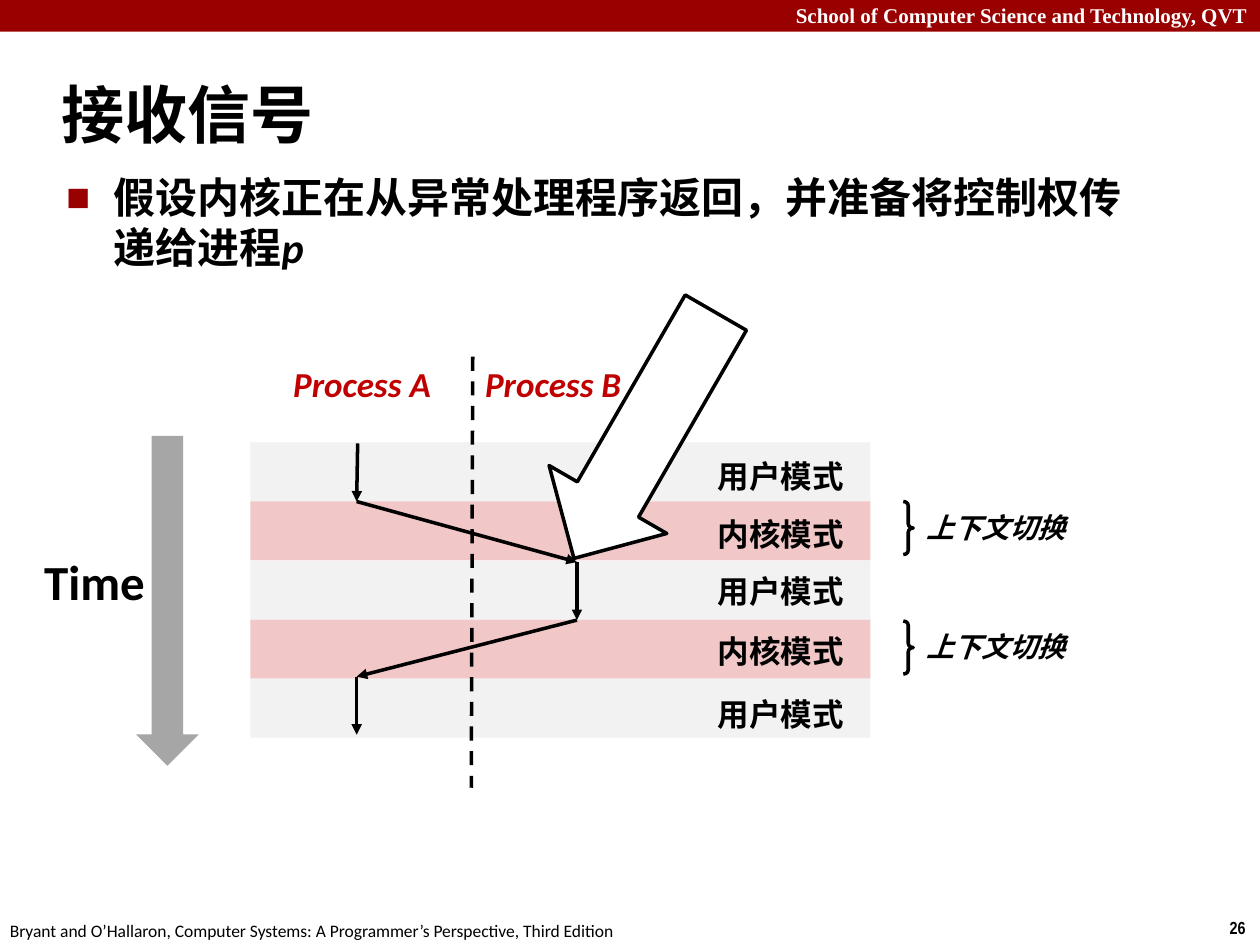
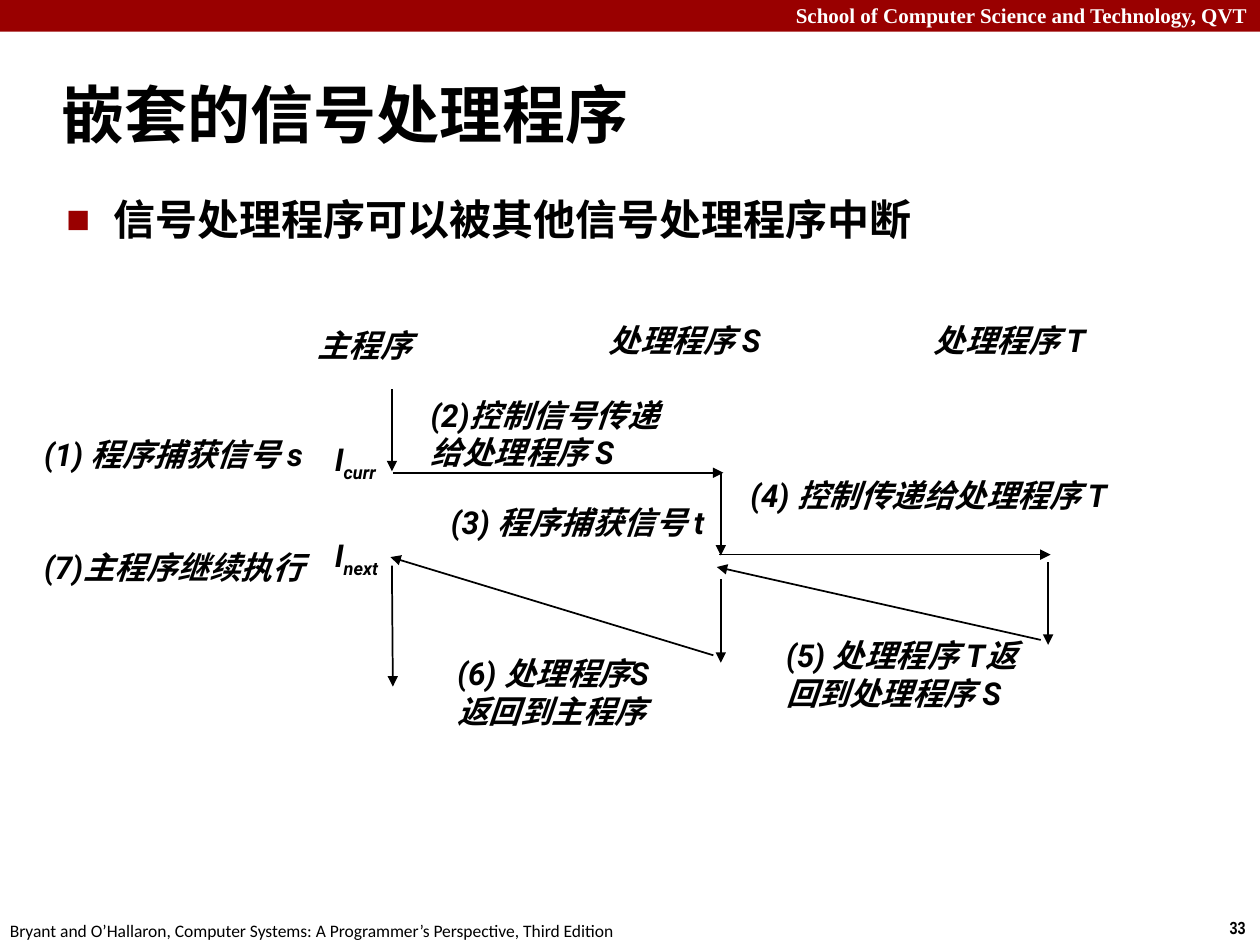
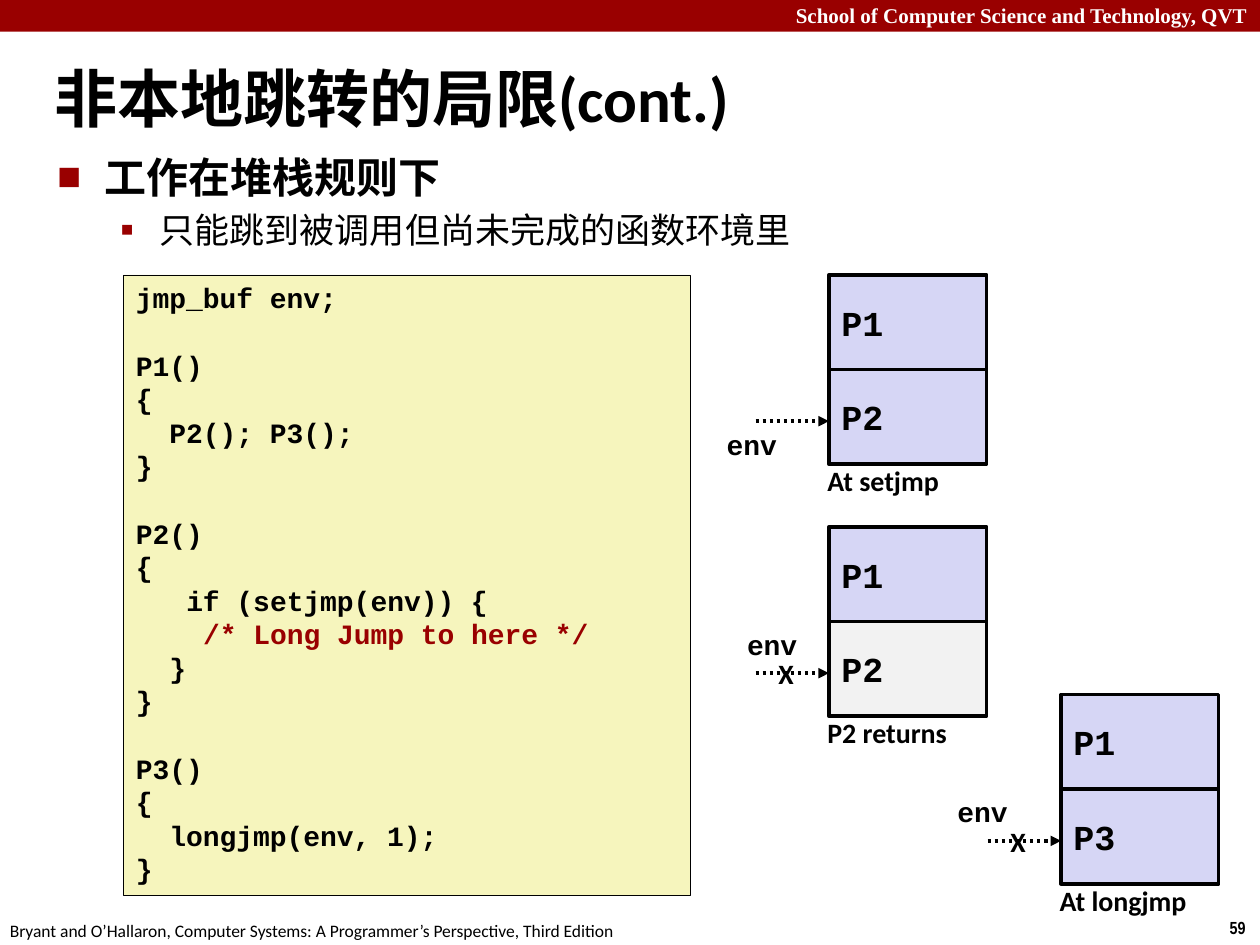
from itertools import pairwise

from lxml.etree import SubElement
from pptx import Presentation
from pptx.dml.color import RGBColor
from pptx.enum.dml import MSO_LINE
from pptx.enum.lang import MSO_LANGUAGE_ID as Language
from pptx.enum.shapes import MSO_CONNECTOR, MSO_SHAPE as Preset
from pptx.enum.text import MSO_ANCHOR, MSO_AUTO_SIZE, PP_ALIGN
from pptx.oxml.ns import qn
from pptx.util import Cm, Pt

# Shared look
BLACK, WHITE, DARK_RED, NAME_RED = "000000", "FFFFFF", "990000", "C00000"
PINK, PALE_GREY, GREY = "F1C7C7", "F2F2F2", "A6A6A6"
LILAC, CODE_YELLOW = "D6D6F5", "F6F5BD"
BODY_FONT, LABEL_FONT, CODE_FONT = "Calibri", "Roboto", "Courier New"
HEADER = "School of Computer Science and Technology, QVT"
FOOTER = "Bryant and O’Hallaron, Computer Systems: A Programmer’s Perspective, Third Edition"

CODE_LINE = Pt(19.2)
CODE_CHARACTER = Pt(9.6)
CODE = """jmp_buf env;

P1()
{
  P2(); P3();
}

P2()
{
   if (setjmp(env)) {
    /* Long Jump to here */
  }
}

P3()
{
  longjmp(env, 1);
}"""


def color(hex_string):
    return RGBColor.from_string(hex_string)


# Text
def add_run(paragraph, text, size, font=BODY_FONT, ink=BLACK, bold=True,
            italic=False, subscript=False):
    run = paragraph.add_run()
    run.text = text
    run.font.name = font
    run.font.size = Pt(size)
    run.font.bold = bold
    run.font.italic = italic
    run.font.color.rgb = color(ink)
    run.font.language_id = Language.SIMPLIFIED_CHINESE
    if subscript:
        run._r.get_or_add_rPr().set("baseline", "-25000")


def add_box(slide, left, top, width, height, wrap=True, grow=True):
    box = slide.shapes.add_textbox(Cm(left), Cm(top), Cm(width), Cm(height))
    frame = box.text_frame
    frame.word_wrap = wrap
    frame.auto_size = MSO_AUTO_SIZE.SHAPE_TO_FIT_TEXT if grow else MSO_AUTO_SIZE.NONE
    return frame


def add_label(slide, text, left, top, width, height, size, wrap=False,
              align=PP_ALIGN.LEFT, **style):
    frame = add_box(slide, left, top, width, height, wrap)
    for number, line in enumerate(text.split("\n")):
        paragraph = frame.add_paragraph() if number else frame.paragraphs[0]
        paragraph.alignment = align
        add_run(paragraph, line, size, **style)


def add_title(slide, text, left, top, width, height):
    frame = add_box(slide, left, top, width, height, grow=False)
    frame.vertical_anchor = MSO_ANCHOR.MIDDLE
    add_run(frame.paragraphs[0], text, 36)


def set_bullet(paragraph, character, percent, margin, hanging):
    properties = paragraph._p.get_or_add_pPr()
    properties.set("marL", str(Cm(margin)))
    properties.set("indent", str(-Cm(hanging)))
    bullet_color = SubElement(properties, qn("a:buClr"))
    SubElement(bullet_color, qn("a:srgbClr"), val=DARK_RED)
    SubElement(properties, qn("a:buSzPct"), val=str(percent * 1000))
    SubElement(properties, qn("a:buFont"), typeface=BODY_FONT)
    SubElement(properties, qn("a:buChar"), char=character)


def add_bullets(slide, left, top, width, height, main_text, sub_text=None):
    frame = add_box(slide, left, top, width, height, grow=False)
    main_point = frame.paragraphs[0]
    set_bullet(main_point, "■", 60, 0.95, 0.95)
    add_run(main_point, main_text, 24)
    if sub_text:
        sub_point = frame.add_paragraph()
        sub_point.level = 1
        sub_point.space_before = Pt(4)
        set_bullet(sub_point, "▪", 110, 2.06, 0.79)
        add_run(sub_point, sub_text, 20, bold=False)
    return main_point


# Shapes and lines
def add_shape(slide, preset, left, top, width, height, fill=None, line_width=None):
    shape = slide.shapes.add_shape(preset, Cm(left), Cm(top), Cm(width), Cm(height))
    shape.shadow.inherit = False
    if fill:
        shape.fill.solid()
        shape.fill.fore_color.rgb = color(fill)
    else:
        shape.fill.background()
    if line_width:
        shape.line.color.rgb = color(BLACK)
        shape.line.width = Pt(line_width)
    else:
        shape.line.fill.background()
    return shape


def add_line(slide, start, end, width, dash=None, arrow=True):
    points = [Cm(value) for value in (*start, *end)]
    connector = slide.shapes.add_connector(MSO_CONNECTOR.STRAIGHT, *points)
    connector.line.color.rgb = color(BLACK)
    connector.line.width = Pt(width)
    if dash:
        connector.line.dash_style = dash
    if arrow:
        SubElement(connector.line._get_or_add_ln(), qn("a:tailEnd"), type="triangle")
    SubElement(connector._element.spPr, qn("a:effectLst"))


def add_base_slide(presentation, page_number):
    slide = presentation.slides.add_slide(presentation.slide_layouts[6])
    add_shape(slide, Preset.RECTANGLE, 0, 0, 25.4, 0.64, DARK_RED)
    add_label(slide, page_number, 24.54, 18.36, 0.86, 0.69, 10, font="Arial Narrow")
    add_label(slide, HEADER, 0, -0.08, 25.4, 0.76, 12, wrap=True,
              align=PP_ALIGN.RIGHT, font="Times New Roman", ink=WHITE)
    add_label(slide, FOOTER, -0.05, 18.42, 12.9, 0.69, 10, bold=False)
    return slide


# Slide 1: context switches between two processes
def build_receiving(presentation):
    slide = add_base_slide(presentation, "26")
    add_title(slide, "接收信号", 0.99, 1.22, 21.08, 2.11)
    point = add_bullets(slide, 1.09, 3.33, 21.95, 3.02,
                        "假设内核正在从异常处理程序返回，并准备将控制权传递给进程")
    add_run(point, "p", 24, italic=True)

    # Mode bands
    modes = [("用户模式", PALE_GREY), ("内核模式", PINK)]
    label_tops = [9.09, 10.26, 11.4, 12.62, 13.89]
    for number, label_top in enumerate(label_tops):
        mode, fill = modes[number % 2]
        add_shape(slide, Preset.RECTANGLE, 5.05, 8.92 + number * 1.19, 12.5, 1.19, fill)
        add_label(slide, mode, 14.22, label_top, 3.1, 1.02, 18)

    # Processes and their divider
    for name, left in (("Process A", 5.66), ("Process B", 9.53)):
        add_label(slide, name, left, 7.19, 3.3, 1.12, 20, ink=NAME_RED, italic=True)
    add_line(slide, (9.53, 7.19), (9.5, 15.88), 2, MSO_LINE.DASH, arrow=False)

    # Context switches
    for top in (10.11, 12.52):
        brace = add_shape(slide, Preset.RIGHT_BRACE, 18.21, top, 0.2, 1.07, line_width=2)
        brace.adjustments[0] = 0.42
        add_label(slide, "上下文切换", 18.42, top + 0.05, 3.38, 0.94, 16, italic=True)

    # Time axis and flow of control
    add_label(slide, "Time", 0.64, 11, 2.57, 1.45, 28)
    add_shape(slide, Preset.DOWN_ARROW, 2.74, 8.79, 1.27, 6.65, GREY)
    flow = [(7.21, 8.94), (7.19, 10.11), (11.63, 11.33),
            (11.63, 12.5), (7.19, 13.64), (7.19, 14.81)]
    for start, end in pairwise(flow):
        add_line(slide, start, end, 2)

    pointer = add_shape(slide, Preset.DOWN_ARROW, 11.63, 5.92, 2.74, 5.72, WHITE, 2)
    pointer.adjustments[0] = 0.52
    pointer.rotation = 30


# Slide 2: one handler interrupts another
def build_nested_handlers(presentation):
    slide = add_base_slide(presentation, "33")
    add_title(slide, "嵌套的信号处理程序", 0.99, 1.22, 24.41, 2.11)
    add_bullets(slide, 1.09, 3.78, 21.95, 1.73, "信号处理程序可以被其他信号处理程序中断")

    steps = [
        ((7.9, 7.85), (7.9, 9.5)),
        ((7.92, 9.53), (14.58, 9.53)),
        ((14.53, 9.53), (14.53, 11.2)),
        ((14.5, 11.18), (21.18, 11.18)),
        ((21.13, 11.33), (21.13, 13)),
        ((20.98, 12.9), (14.45, 11.43)),
        ((14.53, 11.68), (14.53, 13.36)),
        ((14.38, 13.21), (7.87, 11.23)),
        ((7.9, 11.4), (7.92, 13.84)),
    ]
    for start, end in steps:
        add_line(slide, start, end, 1)

    labels = [
        ("主程序", 6.15, 6.45, 3.23, 1.02),
        ("处理程序 S", 12.02, 6.35, 4.3, 1.02),
        ("处理程序 T", 18.57, 6.35, 4.3, 1.02),
        ("(1) 程序捕获信号 s", 0.64, 8.64, 5.89, 1.02),
        ("(2)控制信号传递给处理程序 S", 8.43, 7.85, 5.69, 1.78),
        ("(3) 程序捕获信号 t", 8.84, 10.01, 5.69, 1.02),
        ("(4) 控制传递给处理程序 T", 14.88, 9.47, 8.15, 1.02),
        ("(5) 处理程序 T返回到处理程序 S", 15.6, 12.7, 5.59, 1.78),
        ("(6) 处理程序S\n返回到主程序", 8.97, 13.06, 4.95, 1.78),
        ("(7)主程序继续执行", 0.64, 10.92, 5.89, 1.02),
    ]
    for label in labels:
        add_label(slide, *label, 18, wrap=True, font=LABEL_FONT, italic=True)

    for subscript, top in (("curr", 8.74), ("next", 10.69)):
        instruction = add_box(slide, 6.5, top, 1.55, 1.02, wrap=False).paragraphs[0]
        add_run(instruction, "I", 18, LABEL_FONT, italic=True)
        add_run(instruction, subscript, 18, LABEL_FONT, italic=True, subscript=True)


# Slide 3: code beside the stack at three moments
def add_code(slide, left, top, width, height):
    panel = add_shape(slide, Preset.RECTANGLE, left, top, width, height, CODE_YELLOW, 0.25)
    frame = panel.text_frame
    frame.word_wrap = True
    frame.vertical_anchor = MSO_ANCHOR.TOP
    for number, block in enumerate(CODE.split("\n\n")):
        for row, line in enumerate(block.split("\n")):
            first = number == row == 0
            paragraph = frame.paragraphs[0] if first else frame.add_paragraph()
            paragraph.alignment = PP_ALIGN.LEFT
            paragraph.line_spacing = CODE_LINE
            if number and row == 0:
                paragraph.space_before = CODE_LINE
            statement = line.lstrip()
            indent = (len(line) - len(statement)) * CODE_CHARACTER
            paragraph._p.get_or_add_pPr().set("marL", str(indent))
            ink = DARK_RED if statement.startswith("/*") else BLACK
            add_run(paragraph, statement, 16, CODE_FONT, ink)


def add_stack(slide, left, top, callee, callee_fill, caption, caption_width,
              env_offset, crossed):
    for row, (name, fill) in enumerate((("P1", LILAC), (callee, callee_fill))):
        cell = add_shape(slide, Preset.RECTANGLE, left, top + row * 1.91,
                         3.18, 1.91, fill, 2)
        cell.text_frame.vertical_anchor = MSO_ANCHOR.MIDDLE
        paragraph = cell.text_frame.paragraphs[0]
        paragraph.alignment = PP_ALIGN.LEFT
        add_run(paragraph, name, 20, CODE_FONT)
    arrow_top = top + 2.95
    add_line(slide, (left - 1.48, arrow_top), (left, arrow_top), 2, MSO_LINE.ROUND_DOT)
    env_left, env_top = env_offset
    add_label(slide, "env", left + env_left, top + env_top, 1.52, 0.94, 16, font=CODE_FONT)
    add_label(slide, caption, left - 0.28, top + 3.68, caption_width, 0.94, 16)
    if crossed:
        add_label(slide, "X", left - 1.27, top + 2.5, 0.84, 0.94, 16)


def build_jump_limits(presentation):
    slide = add_base_slide(presentation, "59")
    add_title(slide, "非本地跳转的局限(cont.)", 0.84, 1.17, 22.05, 1.6)
    add_bullets(slide, 0.91, 2.92, 23.09, 3.23, "工作在堆栈规则下",
                "只能跳到被调用但尚未完成的函数环境里")
    add_code(slide, 2.49, 5.54, 11.43, 12.5)
    add_stack(slide, 16.71, 5.54, "P2", LILAC, "At setjmp", 2.79, (-2.31, 2.95), False)
    add_stack(slide, 21.39, 14, "P3", LILAC, "At longjmp", 3.1, (-2.34, 1.9), True)
    add_stack(slide, 16.71, 10.62, "P2", PALE_GREY, "P2 returns", 2.95, (-1.9, 1.9), True)


def main():
    presentation = Presentation()
    presentation.slide_width = Cm(25.4)
    presentation.slide_height = Cm(19.05)
    build_receiving(presentation)
    build_nested_handlers(presentation)
    build_jump_limits(presentation)
    presentation.save("out.pptx")


if __name__ == "__main__":
    main()
